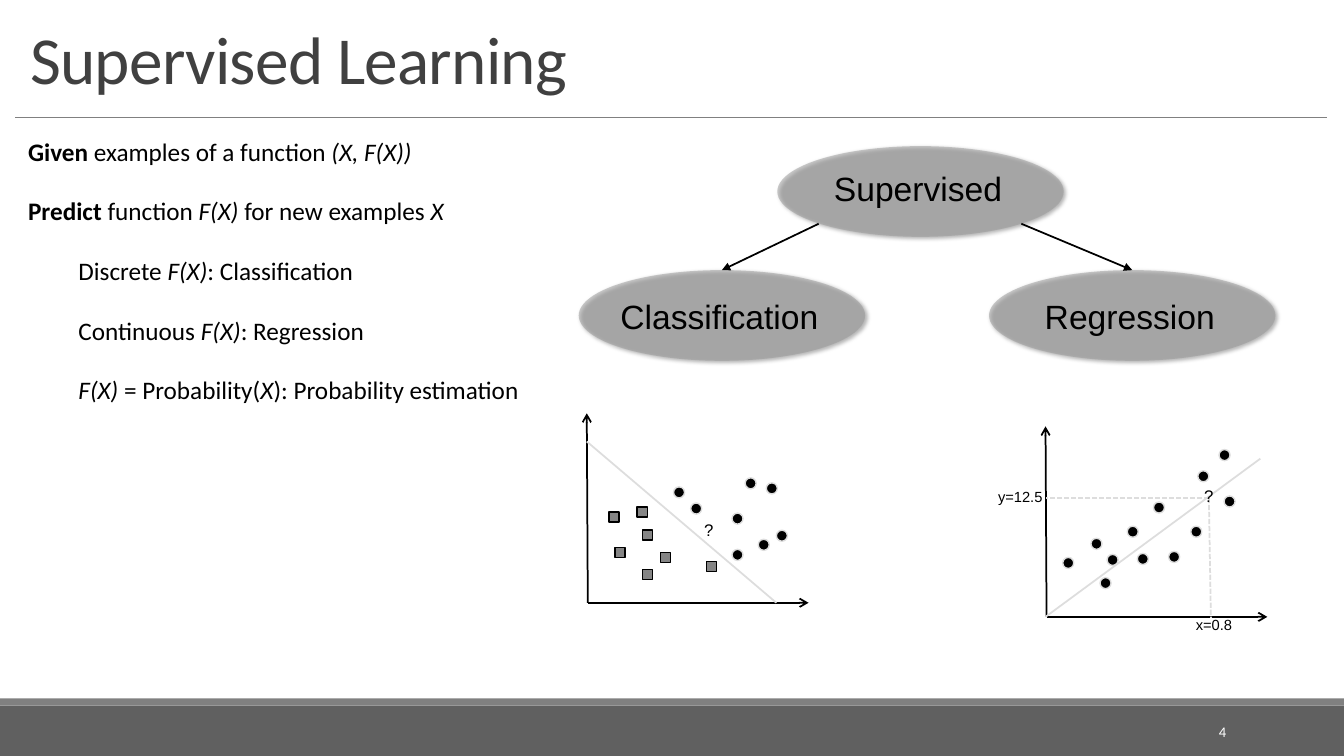
import pptx
import pptx.util
import pptx.dml.color
import pptx.enum.dml
import pptx.enum.shapes
import pptx.enum.text
import pptx.oxml
import pptx.oxml.ns
from dataclasses import dataclass

PX = 9144  # 100 px to the inch
ALIGN = pptx.enum.text.PP_ALIGN
ANCHOR = pptx.enum.text.MSO_ANCHOR
SHAPE = pptx.enum.shapes.MSO_SHAPE
STRAIGHT = pptx.enum.shapes.MSO_CONNECTOR.STRAIGHT
DASH = pptx.enum.dml.MSO_LINE.SQUARE_DOT
NS = pptx.oxml.ns.nsdecls("a")


@dataclass(frozen=True)
class Theme:
    ink: str = "000000"
    white: str = "FFFFFF"
    head: str = "404040"
    bar: str = "606060"
    rule: str = "808080"
    node: str = "969696"
    mark: str = "858585"
    pale: str = "DDDDDD"
    body: str = "Calibri"
    plain: str = "Arial"
    title: float = 48
    big: float = 24
    text: float = 18
    query: float = 12
    small: float = 10.5


T = Theme()


def px(*nums):
    return [pptx.util.Emu(n * PX) for n in nums]


def rgb(code):
    return pptx.dml.color.RGBColor.from_string(code)


def style(run, size, face, color):
    run.font.size = pptx.util.Pt(size)
    run.font.name = face
    run.font.color.rgb = rgb(color)


def label(slide, box, text, size, face=T.plain, color=T.ink,
          align=ALIGN.CENTER, anchor=ANCHOR.TOP):
    frame = slide.shapes.add_textbox(*px(*box)).text_frame
    frame.word_wrap = True
    frame.vertical_anchor = anchor
    frame.text = text
    para = frame.paragraphs[0]
    para.alignment = align
    style(para.runs[0], size, face, color)
    return para


def shape(slide, kind, box, fill, edge=None):
    item = slide.shapes.add_shape(kind, *px(*box))
    item.shadow.inherit = False
    item.fill.solid()
    item.fill.fore_color.rgb = rgb(fill)
    if edge:
        item.line.color.rgb = rgb(edge)
        item.line.width = pptx.util.Pt(1)
    else:
        item.line.fill.background()
    return item


def line(slide, start, end, color=T.ink, width=1.25, head=None, dash=None):
    item = slide.shapes.add_connector(STRAIGHT, *px(*start, *end))
    item.line.color.rgb = rgb(color)
    item.line.width = pptx.util.Pt(width)
    if dash:
        item.line.dash_style = dash
    if head:
        item.line._get_or_add_ln().append(
            pptx.oxml.parse_xml(f'<a:tailEnd {NS} type="{head}"/>'))
    item._element.spPr.append(pptx.oxml.parse_xml(f"<a:effectLst {NS}/>"))


def frame(slide, wide, high):
    """Draw the footer bars, title rule and page number."""
    shape(slide, SHAPE.RECTANGLE, (0, high - 50, wide, 50), T.bar)
    shape(slide, SHAPE.RECTANGLE, (0, high - 57, wide, 7), T.rule)
    line(slide, (15, 116), (1316, 116), T.rule, 0.5)
    label(slide, (1083, high - 44, 143, 40), "4", T.small, T.body, T.white,
          ALIGN.RIGHT, ANCHOR.MIDDLE)


def title(slide, box):
    para = label(slide, box, "Supervised Learning", T.title, T.body, T.head,
                 ALIGN.LEFT, ANCHOR.BOTTOM)
    para.line_spacing = 0.85
    para.runs[0].font._element.set("spc", "-50")


def notion(slide, box):
    """Write the definition; each run is (text, mark), b bold and i italic."""
    rows = [
        (0, [("Given", "b"), (" examples of a function ", ""), ("(X, F(X))", "i")]),
        (0, [("Predict", "b"), (" function", ""), (" F(X) ", "i"),
             ("for new examples", ""), (" X", "i")]),
        (1, [("Discrete ", ""), ("F(X)", "i"), (": Classification", "")]),
        (1, [("Continuous ", ""), ("F(X)", "i"), (": Regression", "")]),
        (1, [("F(X)", "i"), (" = Probability(", ""), ("X", "i"),
             ("): Probability estimation", "")]),
    ]
    body = slide.shapes.add_textbox(*px(*box)).text_frame
    body.word_wrap = True
    for num, (level, runs) in enumerate(rows):
        para = body.add_paragraph() if num else body.paragraphs[0]
        para.level = level
        props = para._p.get_or_add_pPr()
        props.set("marL", str(level * 50 * PX))
        props.set("indent", "0")
        if num:
            para.space_before = pptx.util.Pt(21)
        for text, mark in runs:
            run = para.add_run()
            run.text = text
            style(run, T.text, T.body, T.ink)
            run.font.bold = mark == "b"
            run.font.italic = mark == "i"


def node(slide, box, text, shift):
    """Draw a see-through oval with a soft shadow and its label."""
    item = shape(slide, SHAPE.OVAL, box, T.node)
    tint = item._element.spPr.find(".//" + pptx.oxml.ns.qn("a:srgbClr"))
    tint.append(pptx.oxml.parse_xml(f'<a:alpha {NS} val="49000"/>'))
    glow = item._element.spPr.find(pptx.oxml.ns.qn("a:effectLst"))
    glow.append(pptx.oxml.parse_xml(
        f'<a:outerShdw {NS} blurRad="38100" dist="25400" dir="2700000">'
        f'<a:srgbClr val="{T.ink}"><a:alpha val="60000"/></a:srgbClr>'
        '</a:outerShdw>'))
    left, top, wide, _ = box
    label(slide, (left + 3, top + shift, wide - 11, 50), text, T.big)


def tree(slide, box):
    left, top, wide, high = box
    across, tall = 284, 90
    low = high - tall
    for x, y, text, shift in [(197, 0, "Supervised", 17),
                              (0, low, "Classification", 21),
                              (wide - across, low, "Regression", 21)]:
        node(slide, (left + x, top + y, across, tall), text, shift)
    for start, end in [(238, 142), (439, 549)]:
        line(slide, (left + start, top + 77), (left + end, top + low),
             head="triangle")


def plot(slide, box, dots, trend, notes, squares=(), guides=()):
    """Draw axes and marks; all points count from the box's top left."""
    left, top, wide, high = box

    def at(spot):
        return left + spot[0], top + spot[1]

    for tip in [(0, 0), (wide, high)]:
        line(slide, at((1, high)), at(tip), head="arrow")
    for spot in dots:
        shape(slide, SHAPE.OVAL, (*at(spot), 11, 11), T.ink, T.pale)
    line(slide, at(trend[0]), at(trend[1]), T.pale)
    for start, end in guides:
        line(slide, at(start), at(end), T.pale, dash=DASH)
    for spot in squares:
        shape(slide, SHAPE.RECTANGLE, (*at(spot), 10, 10), T.mark, T.ink)
    for text, spot, size, span in notes:
        label(slide, (*at(spot), span, 30), text, size)


def main():
    deck = pptx.Presentation()
    wide, high = 1333, 750
    deck.slide_width, deck.slide_height = px(wide, high)
    slide = deck.slides.add_slide(deck.slide_layouts[6])
    frame(slide, wide, high)
    title(slide, (20, 15, 1293, 87))
    tree(slide, (574, 145, 691, 213))
    plot(slide, (1037, 423, 220, 189),
         dots=[(17, 130), (45, 111), (61, 127), (81, 99), (91, 126), (107, 75),
               (144, 99), (151, 44), (122, 124), (177, 69), (172, 23), (54, 150)],
         trend=[(0, 189), (213, 32)],
         guides=[((162, 71), (164, 190)), ((162, 71), (0, 71))],
         notes=[("x=0.8", (100, 183), T.small, 134),
                ("y=12.5", (-92, 56), T.small, 134),
                ("?", (144, 54), T.query, 36)])
    plot(slide, (582, 410, 220, 188),
         dots=[(144, 135), (170, 125), (144, 99), (157, 64), (178, 69),
               (188, 116), (86, 73), (103, 89)],
         trend=[(0, 28), (188, 188)],
         squares=[(22, 98), (28, 133), (55, 116), (119, 147), (50, 93),
                  (73, 138), (55, 155)],
         notes=[("?", (103, 101), T.query, 36)])
    notion(slide, (18, 130, 828, 283))
    deck.save("out.pptx")


if __name__ == "__main__":
    main()
